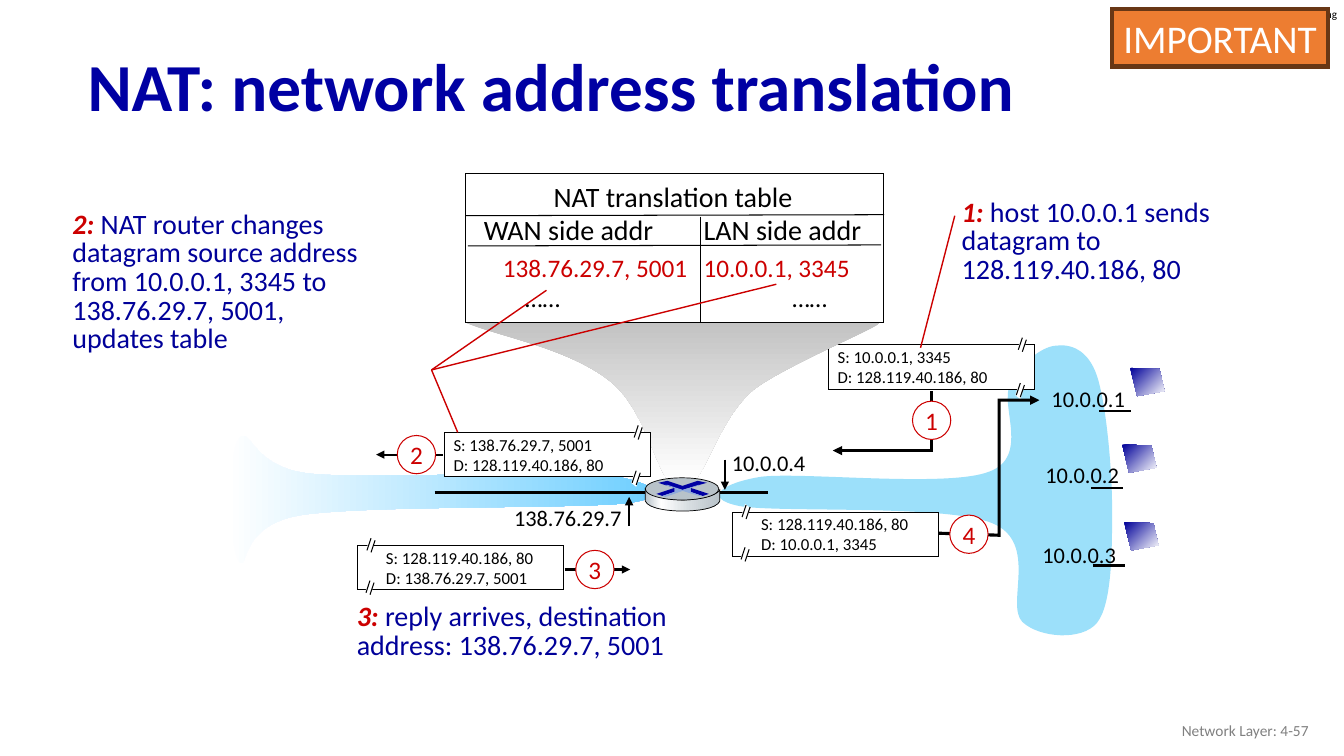
from copy import deepcopy

from lxml import etree
from pptx import Presentation
from pptx import util as u
from pptx.dml.color import RGBColor
from pptx.enum import shapes, text
from pptx.oxml.ns import qn

COLUMNS, ROWS = 13.33, 7.5
BLACK, WHITE, RED, BLUE, NAVY = "000000", "FFFFFF", "CC0000", "000099", "0000A3"
STEEL, SKY = "B8C2C9", "9CE0FA"
LEFT, CENTER, RIGHT = text.PP_ALIGN.LEFT, text.PP_ALIGN.CENTER, text.PP_ALIGN.RIGHT


def rgb(value):
    return RGBColor.from_string(value)


def shift(x, y, points):
    return [(x + dx, y + dy) for dx, dy in points]


class Board:
    """A slide on a grid of 13.33 columns by 7.5 rows, one inch each."""
    font = "Calibri"

    def __init__(self):
        self.presentation = Presentation()
        self.presentation.slide_width = u.Inches(COLUMNS)
        self.presentation.slide_height = u.Inches(ROWS)
        self.slide = self.presentation.slides.add_slide(self.presentation.slide_layouts[6])
        self.shapes = self.slide.shapes

    def grid(self, *cells):
        return [u.Inches(cell) for cell in cells]

    def style(self, paragraph, size, color, bold=False, align=LEFT, spacing=None, tabs=()):
        paragraph.alignment = align
        if spacing:
            paragraph.line_spacing = spacing
        if tabs:
            stops = etree.SubElement(paragraph._p.get_or_add_pPr(), qn("a:tabLst"))
            for position in self.grid(*tabs):
                etree.SubElement(stops, qn("a:tab"), pos=str(position), algn="l")
        font = paragraph.font
        font.name, font.size, font.bold = self.font, u.Pt(size), bold
        font.color.rgb = rgb(color)

    def text(self, box, lines, size, color=BLACK, lead="", middle=False, inset=True,
             line_looks=(), **look):
        """Text box; lead is a bold italic red opening, line_looks restyle single lines."""
        frame = self.shapes.add_textbox(*self.grid(*box)).text_frame
        frame.word_wrap = True
        if middle:
            frame.vertical_anchor = text.MSO_ANCHOR.MIDDLE
        if not inset:
            frame.margin_left = frame.margin_right = frame.margin_top = frame.margin_bottom = 0
        for index, line in enumerate(lines):
            paragraph = frame.add_paragraph() if index else frame.paragraphs[0]
            special = line_looks[index] if line_looks else {}
            self.style(paragraph, size, **{"color": color, **look, **special})
            if lead and index == 0:
                run = paragraph.add_run()
                run.text = lead
                run.font.bold = run.font.italic = True
                run.font.color.rgb = rgb(RED)
            paragraph.add_run().text = line

    def paint(self, shape, fill=None, line=None, weight=0.75, angle=0):
        """fill is a colour, a list of (position, colour) stops, or None."""
        shape.shadow.inherit = False
        if fill is None:
            shape.fill.background()
        elif isinstance(fill, str):
            shape.fill.solid()
            shape.fill.fore_color.rgb = rgb(fill)
        else:
            shape.fill.gradient()
            shape.fill.gradient_angle = (360 - angle) % 360
            stops = next(shape._element.iter(qn("a:gsLst")))
            for _ in range(len(fill) - len(stops)):
                stops.append(deepcopy(stops[0]))
            for stop, (position, color) in zip(shape.fill.gradient_stops, fill):
                stop.position = position
                stop.color.rgb = rgb(color)
        if line:
            shape.line.color.rgb = rgb(line)
            shape.line.width = u.Pt(weight)
            etree.SubElement(shape.line._get_or_add_ln(), qn("a:miter"), lim="800000")
        else:
            shape.line.fill.background()

    def arrowhead(self, shape):
        etree.SubElement(shape.line._get_or_add_ln(), qn("a:tailEnd"), type="triangle")

    def preset(self, kind, box, label="", size=18, color=WHITE, **look):
        shape = self.shapes.add_shape(kind, *self.grid(*box))
        self.paint(shape, **look)
        if label:
            frame = shape.text_frame
            frame.margin_left = frame.margin_right = frame.margin_top = frame.margin_bottom = 0
            frame.word_wrap = False
            frame.text = label
            self.style(frame.paragraphs[0], size, color, align=CENTER)

    def free(self, start, *segments, closed=True, arrow=False, **look):
        """Outline of segments with 2 numbers (line) or 6 numbers (Bezier curve)."""
        points = [segment[i:i + 2] for segment in segments for i in range(0, len(segment), 2)]
        builder = self.shapes.build_freeform(*self.grid(*start))
        builder.add_line_segments([self.grid(*point) for point in points], close=closed)
        shape = builder.convert_to_shape()
        lines = iter(list(shape._element.iter(qn("a:lnTo"))))
        for segment in segments:
            first = next(lines)
            if len(segment) == 6:
                first.tag = qn("a:cubicBezTo")
                for control in (next(lines), next(lines)):
                    first.append(control[0])
                    control.getparent().remove(control)
        self.paint(shape, **look)
        if arrow:
            self.arrowhead(shape)

    def line(self, start, end, color=BLACK, weight=0.75, arrow=False):
        line = self.shapes.add_connector(shapes.MSO_CONNECTOR.STRAIGHT, *self.grid(*start, *end))
        line.line.color.rgb = rgb(color)
        line.line.width = u.Pt(weight)
        etree.SubElement(line._element.spPr, qn("a:effectLst"))
        if arrow:
            self.arrowhead(line)

    def badge(self, x, y, number):
        self.preset(shapes.MSO_SHAPE.OVAL, (x, y, 0.38, 0.38), number, color=RED,
                    fill=WHITE, line=RED)

    def packet(self, x, y, source, destination, cut_right):
        """Datagram box whose far end is cut by two pairs of slashes."""
        self.preset(shapes.MSO_SHAPE.RECTANGLE, (x, y, 2.04, 0.44), fill=WHITE, line=BLACK)
        self.text((x + (-0.01 if cut_right else 0.18), y - 0.03, 1.94, 0.5),
                  [f"S: {source}", f"D: {destination}"], 12)
        cuts = ((1.87, -0.08), (1.85, 0.37)) if cut_right else ((0.08, -0.08), (0.07, 0.34))
        for left, top in shift(x, y, cuts):
            self.free(*shift(left, top, [(0.04, 0), (0, 0.13), (0.05, 0.17), (0.09, 0.04)]),
                      fill=WHITE)
            for dx, dy in ((0, 0), (0.04, 0.02)):
                self.line((left + 0.05 + dx, top + 0.01 + dy), (left + 0.01 + dx, top + 0.13 + dy))


def main():
    board = Board()
    oval, rectangle = shapes.MSO_SHAPE.OVAL, shapes.MSO_SHAPE.RECTANGLE
    server, wan, host = "128.119.40.186, 80", "138.76.29.7, 5001", "10.0.0.1, 3345"
    board.text((12.43, 0.07, 0.9, 0.13), ["Begränsad delning"], 8, inset=False)
    board.text((0.77, 0.31, 11.5, 1.17), ["NAT: network address translation"], 48, NAVY,
               bold=True, middle=True, spacing=0.9)

    # Networks on both sides of the router
    board.free(
        (5.98, 4.71), (5.45, 4.66, 3.68, 4.76, 3.08, 4.7), (2.48, 4.64, 2.49, 4.21, 2.37, 4.35),
        (2.25, 4.5, 2.27, 5.44, 2.37, 5.57), (2.47, 5.69, 2.35, 5.21, 2.99, 5.11),
        (3.63, 5.01, 5.73, 5.05, 6.23, 4.99), (6.73, 4.92, 6.41, 4.76, 5.98, 4.71),
        fill=[(0, WHITE), (1, "66CCFF")])
    board.free(
        (7.55, 4.73), (7.96, 4.68, 9.4, 4.84, 9.81, 4.68), (10.22, 4.53, 9.91, 4.02, 10.02, 3.81),
        (10.13, 3.6, 10.33, 3.44, 10.47, 3.43), (10.61, 3.41, 10.79, 3.46, 10.88, 3.73),
        (10.97, 4, 11.03, 4.64, 11.03, 5.05), (11.03, 5.46, 11.03, 5.99, 10.88, 6.18),
        (10.73, 6.36, 10.31, 6.33, 10.14, 6.17), (9.97, 6, 10.31, 5.38, 9.84, 5.19),
        (9.38, 5, 7.71, 5.09, 7.33, 5.02), (6.95, 4.94, 7.17, 4.79, 7.55, 4.73), fill=SKY)

    # Step 1
    board.packet(8.22, 3.42, host, server, True)
    board.free((9.24, 3.88), (9.24, 4.47), (8.26, 4.47), closed=False, arrow=True,
               line=BLACK, weight=2.25)
    board.badge(9.05, 3.98, "1")
    board.text((7.16, 4.41, 0.98, 0.37), ["10.0.0.4"], 16)
    board.text((5, 4.95, 1.32, 0.37), ["138.76.29.7"], 16)
    board.text((9.44, 1.93, 3.36, 0.96), ["host 10.0.0.1 sends datagram to 128.119.40.186, 80"],
               20, BLUE, lead="1: ", spacing=0.85)
    board.line((9.47, 2.14), (9.13, 3.45), RED, 1)

    # Translation table, widened from the router
    board.free(
        (4.62, 3.2), (4.62, 3.2, 8.23, 3.09, 8.71, 3.2), (8.85, 3.19, 7.77, 3.63, 7.47, 3.87),
        (7.17, 4.12, 7.02, 4.63, 6.89, 4.77), (6.63, 4.77), (6.49, 4.6, 6.38, 4.04, 6.05, 3.78),
        (5.63, 3.45, 4.95, 3.34, 4.62, 3.2), fill=[(0, "BFBFBF"), (1, WHITE)], angle=90)
    board.preset(rectangle, (4.62, 1.72, 4.14, 1.48), fill=WHITE, line=BLACK)
    board.text((4.7, 1.73, 3.95, 0.77),
               ["NAT translation table", "WAN side addr\tLAN side addr"], 20,
               line_looks=[{"align": CENTER}, {"tabs": [2.18]}])
    board.line((4.62, 2.14), (8.77, 2.13))
    board.line((4.64, 2.44), (8.74, 2.43))
    board.line((6.95, 2.15), (6.95, 3.2))
    board.text((4.89, 2.45, 3.68, 0.71), [f"{wan}\t{host}", "\t……\t……"], 18,
               line_looks=[{"color": RED, "tabs": [1.99]}, {"tabs": [0.22, 2.87]}])

    # Step 4
    board.packet(7.27, 5.08, server, host, False)
    board.free((9.31, 5.29), (9.91, 5.31), (9.91, 3.97), (10.31, 3.97), closed=False,
               arrow=True, line=BLACK, weight=2.25)
    board.badge(9.42, 5.11, "4")

    # Step 2
    board.packet(4.41, 4.29, wan, server, True)
    board.line((4.39, 4.51), (3.73, 4.51), weight=1.5, arrow=True)
    board.badge(3.94, 4.32, "2")
    board.text((0.62, 2.05, 3.45, 1.53),
               ["NAT router changes datagram source address from 10.0.0.1, 3345 to "
                "138.76.29.7, 5001,", "updates table"], 20, BLUE, lead="2: ", spacing=0.85)
    for target in ((4.54, 4.29), (5.42, 2.88), (7.7, 2.82)):
        board.line((4.28, 3.67), target, RED, 1)

    # Step 3
    board.packet(3.55, 5.41, server, wan, False)
    board.line((5.6, 5.65), (6.25, 5.65), weight=1.5, arrow=True)
    board.badge(5.71, 5.46, "3")
    board.text((3.44, 5.94, 3.89, 0.68), ["reply arrives, destination address: 138.76.29.7, 5001"],
               20, BLUE, lead="3: ", spacing=0.85)

    # Hosts
    screen = [(0, 0), (0.29, 0.01), (0.34, 0.23), (0.07, 0.28)]
    hosts = [(10.33, 3.77, 11.21, 3.65), (10.27, 4.53, 11.13, 4.41), (10.24, 5.32, 11.15, 5.18)]
    for number, (label_x, label_y, x, y) in enumerate(hosts, 1):
        board.text((label_x, label_y, 0.98, 0.37), [f"10.0.0.{number}"], 16)
        board.free(*shift(x, y, screen), fill=[(0, BLUE), (1, WHITE)], angle=45)
        board.line((x - 0.31, y + 0.43), (x + 0.01, y + 0.43), weight=1.5)

    # Router
    board.line((4.31, 4.89), (7.62, 4.89), weight=2)
    board.free(
        (7.14, 4.86), (7.14, 4.97), (7.11, 5.05, 6.9, 5.07, 6.77, 5.07),
        (6.65, 5.07, 6.43, 5.05, 6.4, 4.97), (6.4, 4.85), (6.44, 4.92, 6.65, 4.96, 6.77, 4.96),
        (6.89, 4.96, 7.1, 4.93, 7.14, 4.86), line=BLACK, weight=0.5,
        fill=[(0, STEEL), (0.21, WHITE), (0.6, "D6DCE0"), (1, STEEL)])
    board.preset(oval, (6.4, 4.74, 0.73, 0.22), fill=STEEL, line=BLACK, weight=0.5)
    board.free((6.92, 4.77), (7.01, 4.79), (6.94, 4.81), (6.77, 4.86), (6.59, 4.81),
               (6.53, 4.79), (6.62, 4.77), (6.77, 4.82), fill=NAVY)
    for side in (1, -1):
        board.free(*[(6.77 + side * dx, y) for dx, y in
                     ((0.08, 4.84), (0.26, 4.9), (0.2, 4.92), (0.08, 4.88))], fill=NAVY)
    board.free((6.59, 4.81), (6.62, 4.81), (6.77, 4.86), (6.93, 4.81), (6.95, 4.81), (6.85, 4.84),
               (6.85, 4.88), (6.96, 4.92), (6.93, 4.92), (6.77, 4.87), (6.6, 4.93), (6.57, 4.92),
               (6.69, 4.88), (6.69, 4.84), fill="8FAADC")
    board.line((6.24, 5.22), (6.24, 4.93), weight=1.5, arrow=True)
    board.line((7.19, 4.56), (7.19, 4.86), weight=1.5, arrow=True)

    board.text((10.08, 7.05, 3, 0.4), ["Network Layer: 4-57"], 11, "808080", middle=True,
               align=RIGHT)
    board.preset(rectangle, (11.03, 0.09, 2.14, 0.57), "IMPORTANT", 28, fill="ED7D31",
                 line="683715", weight=3)
    board.presentation.save("out.pptx")


if __name__ == "__main__":
    main()
